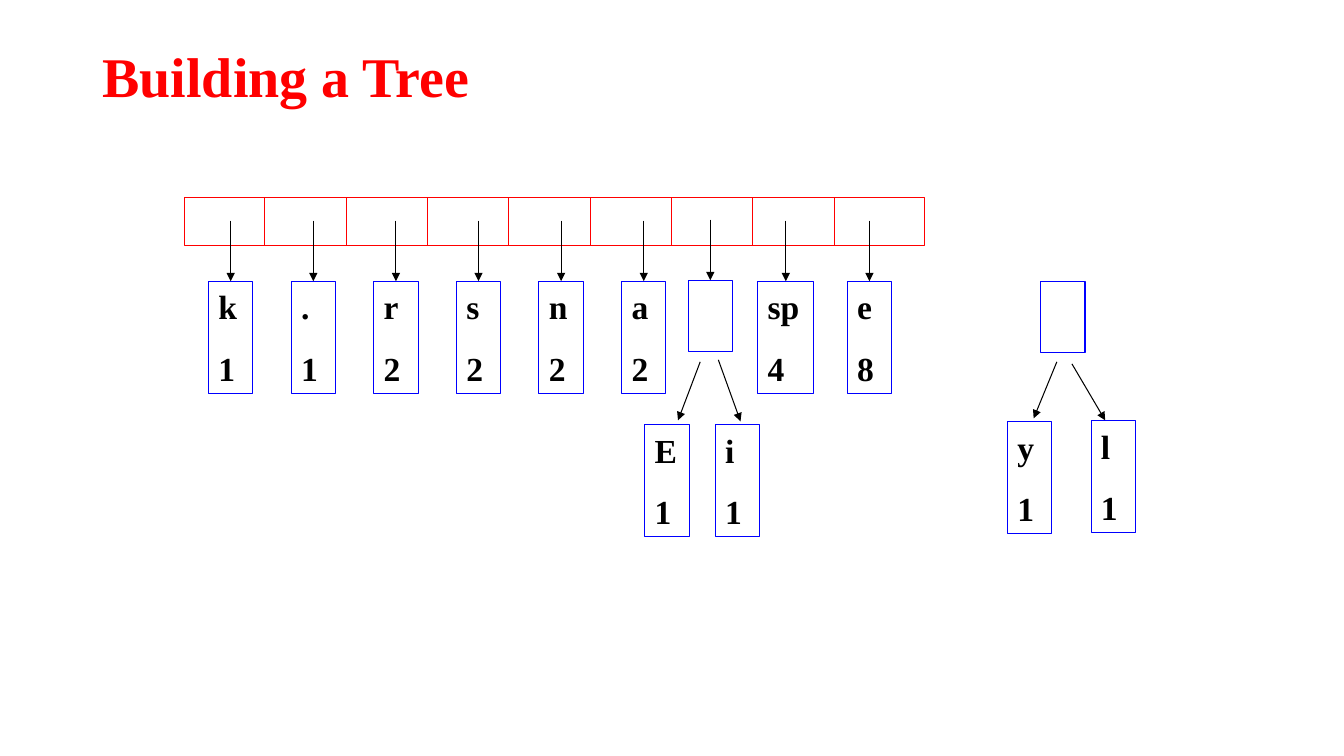
import pptx
import pptx.dml.color
import pptx.enum.shapes
import pptx.enum.text
import pptx.oxml
import pptx.oxml.ns
import pptx.util

Inches = pptx.util.Inches
Pt = pptx.util.Pt

RED, BLUE, BLACK, WHITE = "FF0000", "0000FF", "000000", "FFFFFF"


def color(hex_code):
    return pptx.dml.color.RGBColor.from_string(hex_code)


class TreeSlide:
    font_name = "Times New Roman"
    line_width = 0.75
    node_width = 0.44

    def __init__(self, slide):
        self.shapes = slide.shapes

    def run(self, paragraph, text, size, hex_code):
        run = paragraph.add_run()
        run.text = text
        run.font.name = self.font_name
        run.font.size = Pt(size)
        run.font.bold = True
        run.font.color.rgb = color(hex_code)

    def title(self, text, left, top, width, height):
        frame = self.shapes.add_textbox(
            Inches(left), Inches(top), Inches(width), Inches(height)).text_frame
        frame.word_wrap = True
        frame.vertical_anchor = pptx.enum.text.MSO_ANCHOR.MIDDLE
        frame.paragraphs[0].line_spacing = 0.9
        self.run(frame.paragraphs[0], text, 40, RED)

    def box(self, left, top, width, height, line, fill=None):
        box = self.shapes.add_shape(
            pptx.enum.shapes.MSO_SHAPE.RECTANGLE,
            Inches(left), Inches(top), Inches(width), Inches(height))
        box.shadow.inherit = False
        box.line.color.rgb = color(line)
        box.line.width = Pt(self.line_width)
        if fill:
            box.fill.solid()
            box.fill.fore_color.rgb = color(fill)
        else:
            box.fill.background()
        return box

    def root(self, left, top):
        return self.box(left, top, self.node_width, 0.71, BLUE)

    def leaf(self, left, top, symbol, count, width=node_width):
        leaf = self.box(left, top, width, 1.11, BLUE)
        frame = leaf.text_frame
        frame.word_wrap = True
        frame.vertical_anchor = pptx.enum.text.MSO_ANCHOR.MIDDLE
        for index, text in enumerate((symbol, str(count))):
            paragraph = frame.paragraphs[0] if index == 0 else frame.add_paragraph()
            paragraph.alignment = pptx.enum.text.PP_ALIGN.LEFT
            if index:
                paragraph.space_before = Pt(15)
            self.run(paragraph, text, 24, BLACK)
        return leaf

    def line(self, x1, y1, x2, y2, hex_code):
        line = self.shapes.add_connector(
            pptx.enum.shapes.MSO_CONNECTOR.STRAIGHT,
            Inches(x1), Inches(y1), Inches(x2), Inches(y2))
        line.line.color.rgb = color(hex_code)
        line.line.width = Pt(self.line_width)
        properties = line._element.spPr
        properties.append(pptx.oxml.parse_xml(
            f'<a:effectLst {pptx.oxml.ns.nsdecls("a")}/>'))
        return line

    def arrow(self, x1, y1, x2, y2):
        arrow = self.line(x1, y1, x2, y2, BLACK)
        arrow.line._get_or_add_ln().append(pptx.oxml.parse_xml(
            f'<a:tailEnd {pptx.oxml.ns.nsdecls("a")} type="triangle"/>'))
        return arrow

    def pointer(self, node):
        """Arrow from a queue cell straight down to the top of a node."""
        center = (node.left + node.width / 2) / Inches(1)
        top = node.top / Inches(1)
        self.arrow(center, top - 0.6, center, top).end_connect(node, 0)


def main():
    presentation = pptx.Presentation()
    presentation.slide_width = Inches(13.34)
    presentation.slide_height = Inches(7.5)
    tree = TreeSlide(presentation.slides.add_slide(presentation.slide_layouts[6]))

    tree.title("Building a Tree", 0.92, 0.4, 11.5, 0.77)

    # Queue with nine cells
    queue_top, queue_height = 1.96, 0.48
    tree.box(1.83, queue_top, 7.35, queue_height, RED, WHITE)
    for divider in range(8):
        x = 2.63 + divider * 0.807
        tree.line(x, queue_top, x, queue_top + queue_height, RED)

    # Nodes in the queue
    node_top = 2.79
    queued = [("k", 1), (".", 1), ("r", 2), ("s", 2), ("n", 2), ("a", 2)]
    nodes = [tree.leaf(2.07 + index * 0.82, node_top, symbol, count)
             for index, (symbol, count) in enumerate(queued)]
    nodes.append(tree.root(6.83, 2.78))
    nodes.append(tree.leaf(7.52, node_top, "sp", 4, width=0.56))
    nodes.append(tree.leaf(8.41, node_top, "e", 8))
    for node in nodes:
        tree.pointer(node)

    # Subtree already in the queue
    tree.leaf(6.4, 4.21, "E", 1)
    tree.leaf(7.1, 4.21, "i", 1)
    tree.arrow(6.95, 3.59, 6.73, 4.17)
    tree.arrow(7.13, 3.57, 7.35, 4.18)

    # New subtree outside the queue
    tree.root(10.33, node_top)
    tree.leaf(10, 4.18, "y", 1)
    tree.leaf(10.83, 4.17, "l", 1)
    tree.arrow(10.49, 3.59, 10.26, 4.15)
    tree.arrow(10.64, 3.61, 10.97, 4.17)

    presentation.save("out.pptx")


if __name__ == "__main__":
    main()
